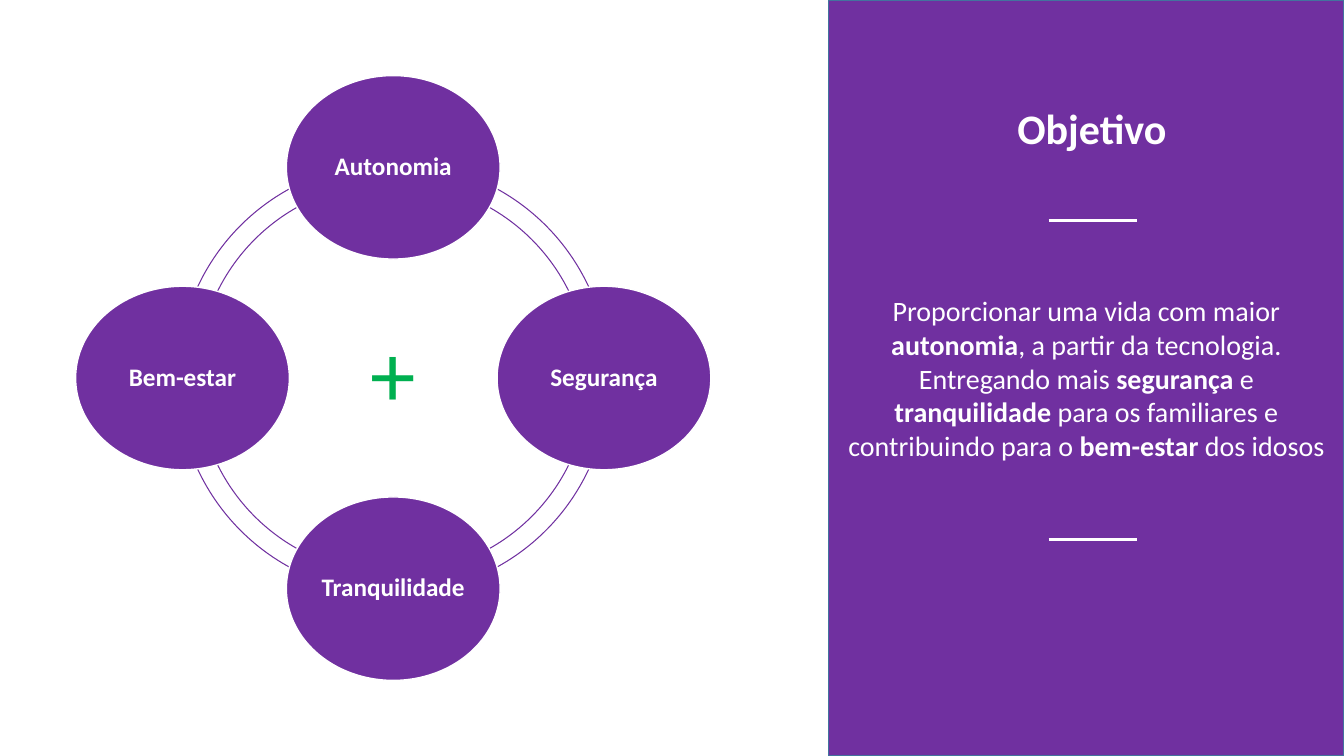
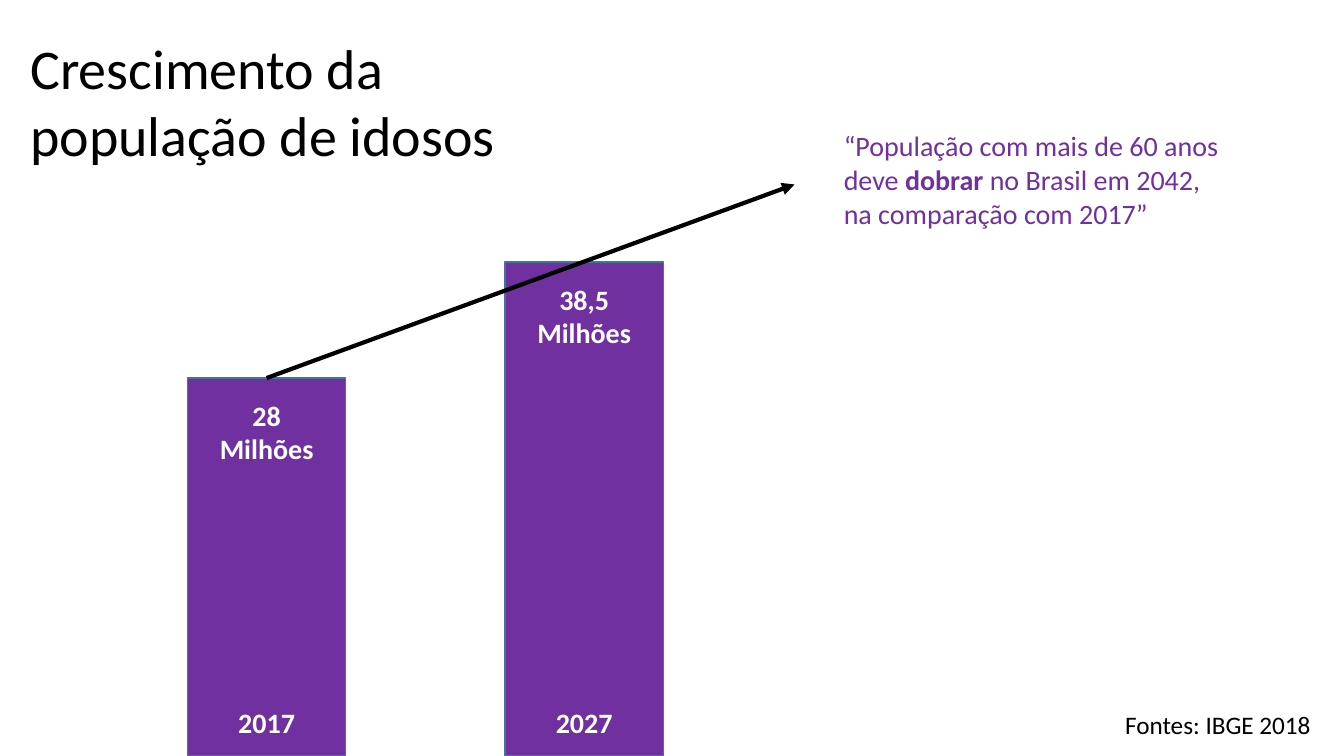
import math

import pptx
import pptx.dml.color
import pptx.enum.shapes
import pptx.enum.text
import pptx.oxml
import pptx.oxml.ns
import pptx.util
from lxml import etree

SHAPES = pptx.enum.shapes.MSO_SHAPE
STRAIGHT = pptx.enum.shapes.MSO_CONNECTOR.STRAIGHT
ALIGN = pptx.enum.text.PP_ALIGN
ANCHOR = pptx.enum.text.MSO_ANCHOR

SLIDE_SIZE = (1333, 750)
EMU_PER_PX = 9144  # 100 px to the inch
TITLE_ONLY = 5

THEME = {
    "font": "Calibri",
    "purple": "7030A0",
    "green": "00B050",
    "white": "FFFFFF",
    "black": "000000",
    "edge": "43739E",
    "plus": 65,
    "heading": 40,
    "panel_heading": 30,
    "body": 20,
    "label": 18,
}

# Text between asterisks is bold.
GOAL_TITLE = "Objetivo"
GOAL_TEXT = (
    "Proporcionar uma vida com maior *autonomia*, a partir da tecnologia. "
    "Entregando mais *segurança* e *tranquilidade* para os familiares e "
    "contribuindo para o *bem-estar* dos idosos"
)
PILLARS = ["Autonomia", "Segurança", "Tranquilidade", "Bem-estar"]
RING_CENTER = (390, 375)
RING_SIZE = 428
PILLAR_DISTANCE = 209
PILLAR_SIZE = (212, 182)
PLUS_SIZE = 139
PANEL = (822, 0, 511, 750)
RULE_LEFT, RULE_WIDTH = 1040, 88
RULE_TOPS = [219, 535]

GROWTH_TITLE = "Crescimento da população de idosos"
GROWTH_BARS = [("2017", "28 Milhões", 375), ("2027", "38,5 Milhões", 490)]
BAR_LEFT, BAR_WIDTH, BAR_PITCH = 186, 157, 315
LABEL_INSET, VALUE_DROP, YEAR_TOP = 20, 15, 695
TREND_END = (788, 183)
QUOTE = "“População com mais de 60 anos deve *dobrar* no Brasil em 2042, na comparação com 2017”"
SOURCE = "Fontes: IBGE 2018"


def px(*lengths):
    return [pptx.util.Emu(round(length * EMU_PER_PX)) for length in lengths]


def rgb(name):
    return pptx.dml.color.RGBColor.from_string(THEME[name])


def centered(center, width, height):
    return center[0] - width / 2, center[1] - height / 2, width, height


def set_values(target, values):
    for name, value in values.items():
        setattr(target, name, value)


def write(shape, text, size, color, bold=False, align=ALIGN.LEFT, anchor=ANCHOR.TOP, spacing=None):
    """Fill a shape with one paragraph, setting text between asterisks in bold."""
    frame = shape.text_frame
    set_values(frame, {
        "word_wrap": True,
        "auto_size": pptx.enum.text.MSO_AUTO_SIZE.NONE,
        "vertical_anchor": anchor,
    })
    para = frame.paragraphs[0]
    set_values(para, {"alignment": align, "line_spacing": spacing})
    for index, part in enumerate(text.split("*")):
        span = para.add_run()
        span.text = part
        set_values(span.font, {
            "name": THEME["font"],
            "size": pptx.util.Pt(THEME[size]),
            "bold": bold or index % 2 == 1,
        })
        span.font.color.rgb = rgb(color)


def add_text(slide, place, text, size, color, **layout):
    write(slide.shapes.add_textbox(*px(*place)), text, size, color, **layout)


def add_title(slide, place, text, size, color, bold=False):
    title = slide.shapes.title
    set_values(title, dict(zip(("left", "top", "width", "height"), px(*place))))
    write(title, text, size, color, bold)
    return title


def add_shape(slide, kind, place, fill, line, line_width=1):
    shape = slide.shapes.add_shape(kind, *px(*place))
    shape.shadow.inherit = False
    if fill:
        shape.fill.solid()
        shape.fill.fore_color.rgb = rgb(fill)
    else:
        shape.fill.background()
    shape.line.color.rgb = rgb(line)
    shape.line.width = pptx.util.Pt(line_width)
    return shape


def add_line(slide, start, end, color, width):
    line = slide.shapes.add_connector(STRAIGHT, *px(*start, *end))
    line.line.color.rgb = rgb(color)
    line.line.width = pptx.util.Pt(width)
    etree.SubElement(line.element.spPr, pptx.oxml.ns.qn("a:effectLst"))
    return line


def add_arrowhead(line):
    head = etree.SubElement(line.line._get_or_add_ln(), pptx.oxml.ns.qn("a:tailEnd"))
    head.set("type", "triangle")


def draw_ring(slide):
    quarter, full_turn = 54, 216  # arc adjustments count 0.6 per degree
    ring_place = centered(RING_CENTER, RING_SIZE, RING_SIZE)
    for start in range(0, full_turn, quarter):
        arc = add_shape(slide, SHAPES.BLOCK_ARC, ring_place, None, "purple", 0.75)
        for index, value in enumerate((start, (start + quarter) % full_turn, 0.046)):
            arc.adjustments[index] = value
    add_text(slide, centered(RING_CENTER, PLUS_SIZE, PLUS_SIZE), "+", "plus", "green",
             align=ALIGN.CENTER, anchor=ANCHOR.MIDDLE, spacing=0.9)
    for index, name in enumerate(PILLARS):
        angle = math.tau * index / len(PILLARS)
        center = (RING_CENTER[0] + PILLAR_DISTANCE * math.sin(angle),
                  RING_CENTER[1] - PILLAR_DISTANCE * math.cos(angle))
        pillar = add_shape(slide, SHAPES.OVAL, centered(center, *PILLAR_SIZE), "purple", "white")
        write(pillar, name, "label", "white", bold=True,
              align=ALIGN.CENTER, anchor=ANCHOR.MIDDLE, spacing=0.9)
        margins = ("margin_left", "margin_top", "margin_right", "margin_bottom")
        set_values(pillar.text_frame, dict.fromkeys(margins, px(3)[0]))


def build_goal(slide):
    title = add_title(slide, (999, 97, 170, 61), GOAL_TITLE, "panel_heading", "white", bold=True)
    draw_ring(slide)
    panel = add_shape(slide, SHAPES.RECTANGLE, PANEL, "purple", "edge")
    write(panel, GOAL_TEXT, "body", "white", align=ALIGN.CENTER, anchor=ANCHOR.MIDDLE)
    title.element.addprevious(panel.element)  # the title lies on the panel
    for top in RULE_TOPS:
        add_line(slide, (RULE_LEFT, top), (RULE_LEFT + RULE_WIDTH, top), "white", 2.25)


def build_growth(slide):
    add_title(slide, (20, 28, 607, 145), GROWTH_TITLE, "heading", "black")
    add_text(slide, (1106, 699, 208, 40), SOURCE, "label", "black")
    bars = []
    for index, (year, value, height) in enumerate(GROWTH_BARS):
        left, top = BAR_LEFT + index * BAR_PITCH, SLIDE_SIZE[1] - height
        bars.append(add_shape(slide, SHAPES.RECTANGLE, (left, top, BAR_WIDTH, height),
                              "purple", "edge"))
        label_left, label_width = left + LABEL_INSET, BAR_WIDTH - 2 * LABEL_INSET
        for text, label_top, label_height in ((value, top + VALUE_DROP, 77), (year, YEAR_TOP, 44)):
            add_text(slide, (label_left, label_top, label_width, label_height), text,
                     "body", "white", bold=True, align=ALIGN.CENTER)
    trend = add_line(slide, (0, 0), TREND_END, "black", 3)
    trend.begin_connect(bars[0], 0)
    add_arrowhead(trend)
    add_text(slide, (827, 123, 395, 111), QUOTE, "body", "purple")


def main():
    deck = pptx.Presentation()
    deck.slide_width, deck.slide_height = px(*SLIDE_SIZE)
    for build in (build_goal, build_growth):
        build(deck.slides.add_slide(deck.slide_layouts[TITLE_ONLY]))
    deck.save("out.pptx")


if __name__ == "__main__":
    main()
